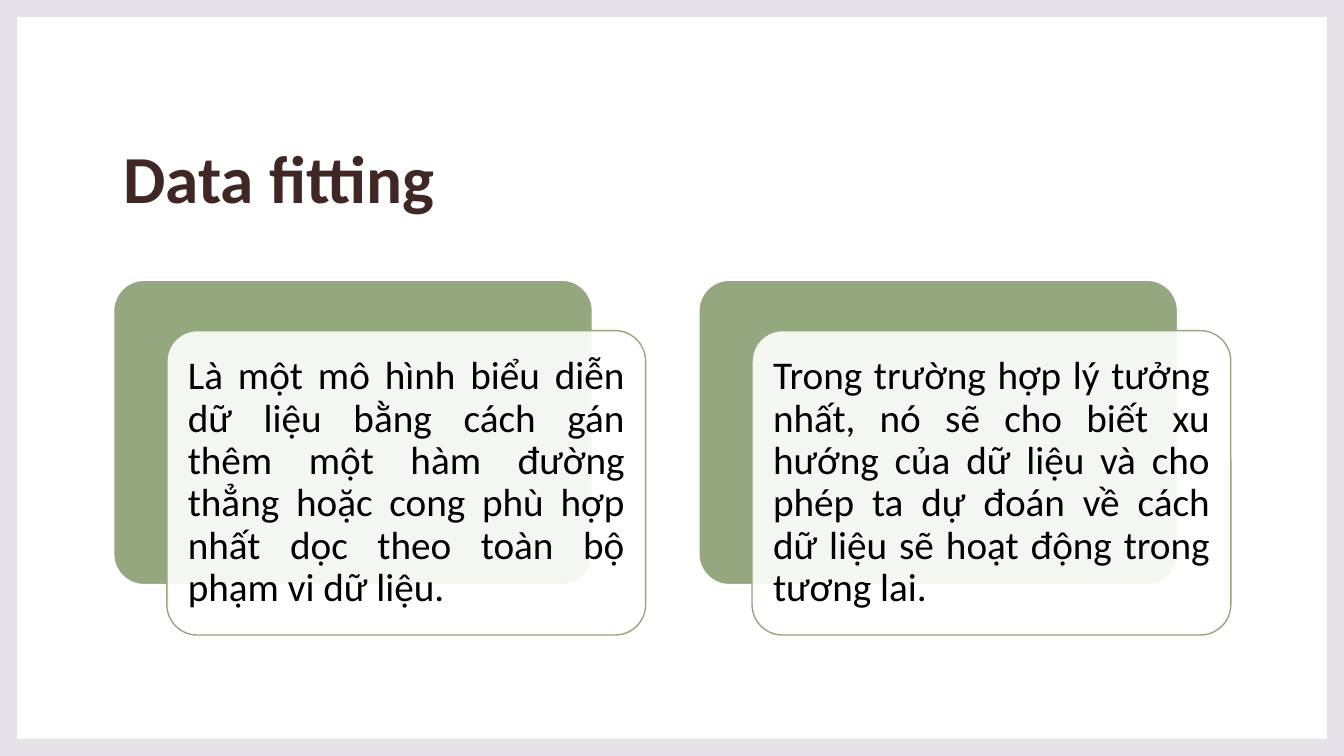
from lxml.etree import SubElement
from pptx import Presentation
from pptx.dml.color import RGBColor
from pptx.enum.shapes import MSO_SHAPE as SHAPE
from pptx.enum.text import MSO_ANCHOR as ANCHOR, MSO_AUTO_SIZE as AUTO, PP_ALIGN as ALIGN
from pptx.oxml.ns import qn
from pptx.util import Inches, Pt


def rgb(value):
    return RGBColor.from_string(value)


class Deck:
    font = "Calibri"
    green, white, border = "95A77E", "FFFFFF", "E5E2E8"
    brown, black = "412724", "000000"
    cols, rows = 24, 15

    def __init__(self):
        self.prs = Presentation()
        self.prs.slide_width, self.prs.slide_height = Inches(13.33), Inches(7.5)
        self.s = self.prs.slides.add_slide(self.prs.slide_layouts[5])

    def x(self, col):
        return round(self.prs.slide_width * col / self.cols)

    def y(self, row):
        return round(self.prs.slide_height * row / self.rows)

    def box(self, col, row, w, h):
        return self.x(col), self.y(row), self.x(w), self.y(h)

    def add_text(self, tf, text, size, color, spacing, align, bold=False):
        tf.word_wrap = True
        tf.auto_size = AUTO.NONE
        p = tf.paragraphs[0]
        p.alignment, p.line_spacing = align, spacing
        r = p.add_run()
        r.text = text
        r.font.name, r.font.size, r.font.bold = self.font, Pt(size), bold
        r.font.color.rgb = rgb(color)

    def frame(self, margin):
        w, h, m = self.prs.slide_width, self.prs.slide_height, Inches(margin)
        fb = self.s.shapes.build_freeform(m, m)
        fb.add_line_segments([(m, h - m), (w - m, h - m), (w - m, m)])
        fb.move_to(0, 0)
        fb.add_line_segments([(w, 0), (w, h), (0, h)])
        sp = fb.convert_to_shape()
        sp.shadow.inherit = False
        sp.fill.solid()
        sp.fill.fore_color.rgb = rgb(self.border)
        sp.line.fill.background()

    def title(self, text, col, row, w, h):
        sp = self.s.shapes.title
        sp.left, sp.top, sp.width, sp.height = self.box(col, row, w, h)
        sp.text_frame.vertical_anchor = ANCHOR.BOTTOM
        self.add_text(sp.text_frame, text, 48, self.brown, 1.1, ALIGN.LEFT, True)

    def panel(self, col, row, w, h, fill, line, opacity=100):
        sp = self.s.shapes.add_shape(SHAPE.ROUNDED_RECTANGLE, *self.box(col, row, w, h))
        sp.adjustments[0] = 0.1
        sp.shadow.inherit = False
        sp.fill.solid()
        sp.fill.fore_color.rgb = rgb(fill)
        sp.line.color.rgb, sp.line.width = rgb(line), Pt(1)
        if opacity < 100:
            color = sp._element.spPr.find(qn("a:solidFill"))[0]
            SubElement(color, qn("a:alpha")).set("val", str(opacity * 1000))
        return sp

    def card(self, text, col, row, w, h, dx, dy):
        self.panel(col, row, w, h, self.green, self.white)
        sp = self.panel(col + dx, row + dy, w, h, self.white, self.green, 90)
        tf = sp.text_frame
        tf.margin_left = tf.margin_right = tf.margin_top = tf.margin_bottom = Inches(0.12)
        tf.vertical_anchor = ANCHOR.MIDDLE
        self.add_text(tf, text, 28, self.black, 0.9, ALIGN.JUSTIFY)


def main():
    deck = Deck()
    deck.frame(0.17)
    deck.title("Data fitting", 2.02, 1.58, 19.95, 2.82)
    cards = [
        "Là một mô hình biểu diễn dữ liệu bằng cách gán thêm một hàm đường thẳng "
        "hoặc cong phù hợp nhất dọc theo toàn bộ phạm vi dữ liệu.",
        "Trong trường hợp lý tưởng nhất, nó sẽ cho biết xu hướng của dữ liệu và cho "
        "phép ta dự đoán về cách dữ liệu sẽ hoạt động trong tương lai.",
    ]
    for i, text in enumerate(cards):
        deck.card(text, 2.03 + 10.45 * i, 5.56, 8.55, 6.04, 0.95, 1)
    deck.prs.save("out.pptx")


if __name__ == "__main__":
    main()
